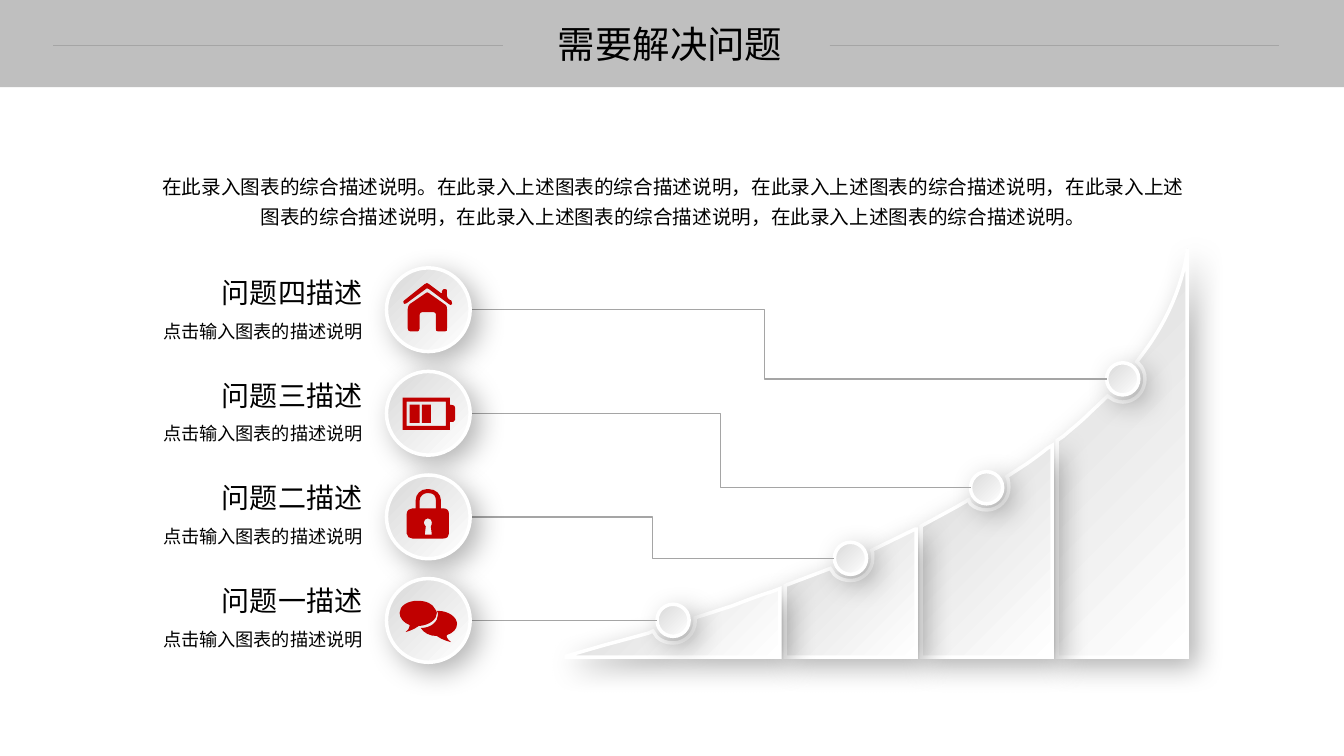
from lxml import etree
from pptx import Presentation
from pptx import util as u
from pptx.dml.color import RGBColor
from pptx.enum import shapes, text
from pptx.oxml.ns import qn

FONT = "Noto Sans CJK SC"
BLACK = RGBColor(0x00, 0x00, 0x00)
WHITE = RGBColor(0xFF, 0xFF, 0xFF)
LIGHT_GRAY = RGBColor(0xD9, 0xD9, 0xD9)
HEADER_GRAY = RGBColor(0xBF, 0xBF, 0xBF)
LINE_GRAY = RGBColor(0xA5, 0xA5, 0xA5)
RED = RGBColor(0xC0, 0x00, 0x00)

DISC_GRID = 83  # grid units across an icon disc
CHART_GRID = 616  # grid units across the rising chart
DOT_SIZE = u.Cm(0.81)

# Outlines in grid units: M move, L line, C cubic curve, Z close
HOUSE = [
    "M 42 25 C 42 24 39 24 39 25 L 23 36 C 22 37 21 39 21 41 L 21 60 C 21 62 22 63 24 63 L 31 63 "
    "C 31 63 33 62 33 60 L 33 46 C 33 45 34 44 35 44 L 47 44 C 48 44 49 45 49 46 L 49 60 "
    "C 49 62 49 63 51 63 L 58 63 C 60 63 60 62 60 60 L 60 41 C 60 40 60 38 59 37 Z",
    "M 63 32 C 61 31 60 29 60 28 L 60 23 C 60 22 60 21 58 21 L 57 21 C 57 21 55 22 55 23 "
    "C 55 25 55 26 54 25 L 42 16 C 42 16 40 15 40 15 C 40 15 39 16 38 16 L 18 32 "
    "C 17 32 16 34 17 35 C 18 36 18 36 20 35 L 39 21 C 39 20 41 20 42 21 L 62 36 "
    "C 63 37 64 37 65 36 C 65 35 65 33 64 32 Z",
]
BATTERY = [
    "M 63 33 L 63 26 L 16 26 L 16 58 L 63 58 L 63 50 C 65 50 68 51 68 48 L 68 36 "
    "C 68 33 64 33 63 33 Z M 59 54 L 20 54 L 20 30 L 59 30 Z",
]
BATTERY_BARS = [(23, 33, 10, 18), (35, 33, 9, 18)]
LOCK = [
    "M 56 33 L 54 33 L 54 25 C 54 19 49 14 42 14 L 40 14 C 34 14 29 19 29 25 L 29 33 L 26 33 "
    "C 23 33 20 35 20 39 L 20 58 C 20 61 23 63 26 63 L 56 63 C 60 63 62 61 62 58 L 62 39 "
    "C 62 35 60 33 56 33 Z M 45 59 L 38 59 L 39 51 C 38 50 37 48 37 47 C 37 45 39 43 41 43 "
    "C 44 43 45 45 45 47 C 45 48 45 50 44 51 Z "
    "M 49 33 L 33 33 L 33 25 C 33 21 37 18 40 18 L 42 18 C 47 18 49 21 49 25 Z",
]
BUBBLES = [
    "M 70 45 C 70 38 61 32 51 32 L 50 32 C 51 33 51 35 51 36 C 51 43 44 49 34 49 "
    "C 37 54 43 57 50 57 C 55 61 64 63 64 63 C 60 60 59 57 60 56 C 66 54 70 50 70 45 Z",
    "M 48 30 C 46 25 39 22 31 22 C 21 22 13 27 13 34 C 13 39 17 44 23 46 C 23 47 23 50 19 53 "
    "C 19 53 27 51 32 47 L 33 47 C 42 46 50 41 50 34 C 50 33 49 31 48 30 Z",
]
PANELS = [
    "M 616 0 L 616 405 L 487 405 L 487 190 L 493 186 C 501 179 510 172 518 164 L 537 146 L 543 150 "
    "C 546 151 549 152 552 152 C 564 152 574 142 574 129 C 574 123 572 118 568 114 L 566 112 "
    "L 577 97 C 598 67 611 35 616 3 Z",
    "M 482 195 L 482 405 L 352 405 L 352 275 L 387 256 L 399 249 L 401 253 C 405 257 411 259 417 259 "
    "C 429 259 439 249 439 237 C 439 234 439 231 438 228 L 437 226 L 457 213 C 464 208 471 203 477 198 Z",
    "M 347 278 L 347 405 L 217 405 L 217 334 L 254 320 L 262 317 L 266 323 C 270 327 276 329 282 329 "
    "C 294 329 304 319 304 307 C 304 305 304 304 304 302 L 303 299 L 346 278 Z",
    "M 212 337 L 212 405 L 0 405 L 0 404 L 38 393 C 53 389 68 385 82 381 L 86 379 L 90 385 "
    "C 94 389 100 391 106 391 C 118 391 128 381 128 369 L 128 366 L 165 354 C 178 349 191 344 204 340 Z",
]
DOT_CENTERS = [(552, 129), (417, 237), (282, 307), (106, 368.5)]

# Title, icon outlines, icon bars, bend of the connector
QUESTIONS = [
    ("问题四描述", HOUSE, [], 46200),
    ("问题三描述", BATTERY, BATTERY_BARS, 50000),
    ("问题二描述", LOCK, [], 50000),
    ("问题一描述", BUBBLES, [], None),
]
CAPTION = "点击输入图表的描述说明"
SUMMARY = ("在此录入图表的综合描述说明。在此录入上述图表的综合描述说明，在此录入上述图表的综合描述说明，"
           "在此录入上述图表的综合描述说明，在此录入上述图表的综合描述说明，在此录入上述图表的综合描述说明。")


def add_text(slide, left, top, width, height, words, size, align, spacing=1.0, wrap=True):
    frame = slide.shapes.add_textbox(left, top, width, height).text_frame
    frame.word_wrap = wrap
    frame.auto_size = text.MSO_AUTO_SIZE.SHAPE_TO_FIT_TEXT
    paragraph = frame.paragraphs[0]
    paragraph.text = words
    paragraph.alignment = align
    paragraph.line_spacing = spacing
    font = paragraph.font
    font.size, font.name = u.Pt(size), FONT
    font.color.rgb = BLACK
    properties = paragraph._p.pPr.find(qn("a:defRPr"))
    etree.SubElement(properties, qn("a:ea"), typeface=FONT)


def add_line(slide, start, end, width, bend=None):
    kind = shapes.MSO_CONNECTOR.ELBOW if bend else shapes.MSO_CONNECTOR.STRAIGHT
    connector = slide.shapes.add_connector(kind, *start, *end)
    connector.line.color.rgb = LINE_GRAY
    connector.line.width = u.Pt(width)
    properties = connector._element.spPr
    etree.SubElement(properties, qn("a:effectLst"))
    if bend:
        adjustments = properties.find(qn("a:prstGeom")).find(qn("a:avLst"))
        etree.SubElement(adjustments, qn("a:gd"), name="adj1", fmla=f"val {bend}")


def style_flat(shape, color):
    shape.shadow.inherit = False
    shape.fill.solid()
    shape.fill.fore_color.rgb = color
    shape.line.fill.background()


def style_raised(shape):
    shape.fill.gradient()
    shape.fill.gradient_angle = 315
    for stop, color in zip(shape.fill.gradient_stops, (LIGHT_GRAY, WHITE)):
        stop.color.rgb = color
    shape.line.color.rgb = WHITE
    shape.line.width = u.Pt(2.5)
    properties = shape._element.spPr
    etree.SubElement(properties.find(qn("a:ln")), qn("a:miter"), lim="800000")
    shape.shadow.inherit = False
    shadow = etree.SubElement(properties.find(qn("a:effectLst")), qn("a:outerShdw"), blurRad=str(u.Pt(20)),
                              dist=str(u.Pt(8)), dir="2700000", algn="tl", rotWithShape="0")
    color = etree.SubElement(shadow, qn("a:srgbClr"), val=str(BLACK))
    etree.SubElement(color, qn("a:alpha"), val="30000")


def add_outline(slide, left, top, unit, outline):
    builder = None
    commands = []
    tokens = iter(outline.split())

    def next_point():
        return left + float(next(tokens)) * unit, top + float(next(tokens)) * unit

    for command in tokens:
        commands.append(command)
        if command == "Z":
            builder.add_line_segments([], close=True)
        elif command != "M":
            count = 3 if command == "C" else 1
            builder.add_line_segments([next_point() for _ in range(count)], close=False)
        elif builder is None:
            builder = slide.shapes.build_freeform(*next_point(), scale=1.0)
        else:
            builder.move_to(*next_point())
    shape = builder.convert_to_shape()

    # Join each run of three curve points into one cubic segment
    segments = iter(list(next(shape._element.iter(qn("a:path")))))
    for command in commands:
        segment = next(segments)
        if command == "C":
            segment.tag = qn("a:cubicBezTo")
            for _ in range(2):
                extra = next(segments)
                segment.append(extra[0])
                extra.getparent().remove(extra)
    return shape


def add_disc(slide, left, top, size):
    style_raised(slide.shapes.add_shape(shapes.MSO_SHAPE.OVAL, left, top, size, size))


def build_header(slide, left, top, width, height):
    band = slide.shapes.add_shape(shapes.MSO_SHAPE.RECTANGLE, left, top, width, height)
    style_flat(band, HEADER_GRAY)
    add_text(slide, left + u.Cm(13.73), top + u.Cm(0.41), u.Cm(6.32), u.Cm(1.4),
             "需要解决问题", 26.7, text.PP_ALIGN.CENTER)
    for rule_left in (left + u.Cm(1.34), left + u.Cm(20.91)):
        middle = top + u.Cm(1.14)
        add_line(slide, (rule_left, middle), (rule_left + u.Cm(11.33), middle), 0.75)


def build_chart(slide, left, top, width):
    """Draw the rising panels and return the left end of each dot."""
    unit = width / CHART_GRID
    for panel in PANELS:
        style_raised(add_outline(slide, left, top, unit, panel))
    ends = []
    for x, y in DOT_CENTERS:
        center_y = int(top + y * unit)
        dot_left = int(left + x * unit - DOT_SIZE / 2)
        add_disc(slide, dot_left, center_y - DOT_SIZE // 2, DOT_SIZE)
        ends.append((dot_left, center_y))
    return ends


def build_question(slide, left, top, size, label_top, question, dot_end):
    title, outlines, bars, bend = question
    unit = size / DISC_GRID
    # Connector, level with the dot when it has no bend
    start_y = top + size // 2 if bend else dot_end[1]
    add_line(slide, (left + size, start_y), dot_end, 1, bend)
    # Disc and icon
    add_disc(slide, left, top, size)
    for outline in outlines:
        style_flat(add_outline(slide, left, top, unit, outline), RED)
    for x, y, width, height in bars:
        bar = slide.shapes.add_shape(shapes.MSO_SHAPE.RECTANGLE, int(left + x * unit), int(top + y * unit),
                                     int(width * unit), int(height * unit))
        style_flat(bar, RED)
    # Labels
    right = text.PP_ALIGN.RIGHT
    add_text(slide, left - u.Cm(4.42), label_top, u.Cm(4.06), u.Cm(1.02), title, 20, right, 0.9, False)
    add_text(slide, left - u.Cm(5.96), label_top + u.Cm(1.09), u.Cm(5.61), u.Cm(0.76), CAPTION, 13, right, 0.9, False)


def main():
    presentation = Presentation()
    presentation.slide_width, presentation.slide_height = u.Cm(33.87), u.Cm(19.05)
    slide = presentation.slides.add_slide(presentation.slide_layouts[6])
    build_header(slide, 0, 0, presentation.slide_width, u.Cm(2.2))
    dot_ends = build_chart(slide, u.Cm(14.27), u.Cm(6.27), u.Cm(15.65))
    add_text(slide, u.Cm(3.62), u.Cm(4.1), u.Cm(26.7), u.Cm(1.73), SUMMARY, 14, text.PP_ALIGN.CENTER, 1.3)
    for row, (question, dot_end) in enumerate(zip(QUESTIONS, dot_ends)):
        build_question(slide, u.Cm(9.74), u.Cm(6.75 + 2.61 * row), u.Cm(2.11), u.Cm(6.91 + 2.59 * row),
                       question, dot_end)
    presentation.save("out.pptx")


if __name__ == "__main__":
    main()
